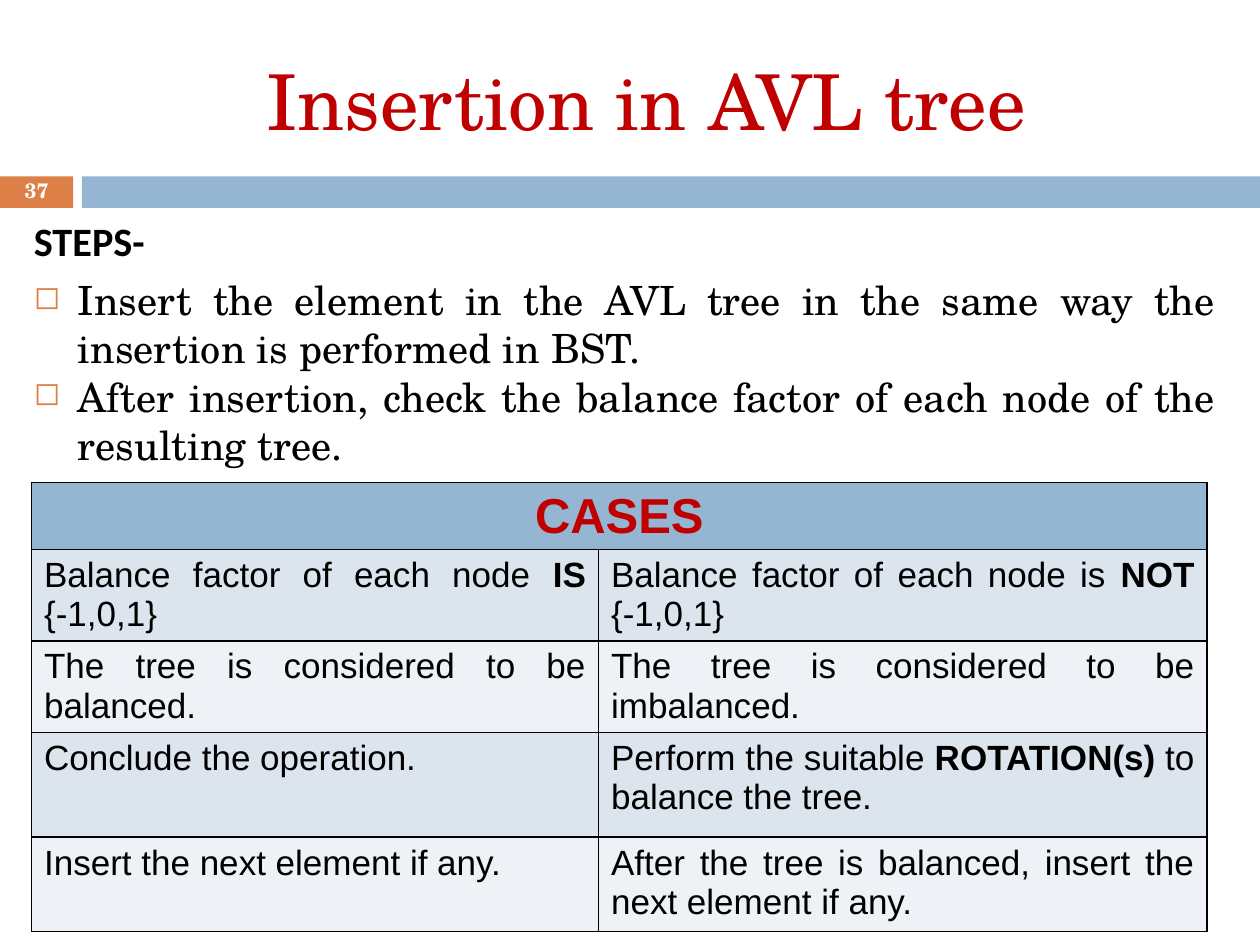
from lxml.etree import SubElement
from pptx import Presentation
from pptx.dml.color import RGBColor
from pptx.enum.shapes import MSO_SHAPE
from pptx.enum.text import MSO_ANCHOR as Anchor, PP_ALIGN as Align
from pptx.oxml.ns import qn
from pptx.util import Inches, Pt

COLORS = {
    "accent": "DD8047", "band": "94B6D2", "heading": "C00000", "text": "000000",
    "page": "FFFFFF", "dark_row": "DCE5EE", "light_row": "EEF2F7",
}
SERIF, SANS, STEPS_FONT = "TeX Gyre Schola", "Arial", "Calibri"
COLUMN_WIDTHS = (4.5, 4.83)
ROW_HEIGHTS = (0.53, 0.72, 0.72, 0.83, 0.75)
STEPS = (
    "Insert the element in the AVL tree in the same way the insertion is performed in BST.",
    "After insertion, check the balance factor of each node of the resulting tree.",
)
# Every second run of a cell is bold.
CASES = (
    (("Balance factor of each node ", "IS ", "{-1,0,1}"),
     ("Balance factor of each node is ", "NOT", " {-1,0,1}")),
    (("The tree is considered to be balanced.",),
     ("The tree is considered to be imbalanced.",)),
    (("Conclude the operation.",),
     ("Perform the suitable ", "ROTATION(s)", " to balance the tree.")),
    (("Insert the next element if any.",),
     ("After the tree is balanced, insert the next element if any.",)),
)


def rgb(name):
    return RGBColor.from_string(COLORS[name])


def add_run(paragraph, text, size, font, color="text", bold=False):
    run = paragraph.add_run()
    run.text = text
    run.font.size = Pt(size)
    run.font.name = font
    run.font.bold = bold
    run.font.color.rgb = rgb(color)


def add_bar(slide, left, width, color):
    bar = slide.shapes.add_shape(
        MSO_SHAPE.RECTANGLE, *map(Inches, (left, 1.4, width, 0.25)))
    bar.shadow.inherit = False
    bar.fill.solid()
    bar.fill.fore_color.rgb = rgb(color)
    bar.line.fill.background()


def add_text_frame(slide, box, anchor=Anchor.TOP):
    frame = slide.shapes.add_textbox(*map(Inches, box)).text_frame
    frame.word_wrap = True
    frame.vertical_anchor = anchor
    return frame


def add_line(slide, box, text, size, color, bold=False, spacing=None):
    """Add one centred line of serif text in its own box."""
    paragraph = add_text_frame(slide, box, Anchor.MIDDLE).paragraphs[0]
    paragraph.alignment = Align.CENTER
    paragraph.line_spacing = spacing
    add_run(paragraph, text, size, SERIF, color, bold)


def set_bullet(paragraph):
    props = paragraph._p.get_or_add_pPr()
    props.set("marL", str(Inches(0.35)))
    props.set("indent", str(-Inches(0.35)))
    color = SubElement(props, qn("a:buClr"))
    SubElement(color, qn("a:srgbClr"), val=COLORS["accent"])
    SubElement(props, qn("a:buSzPct"), val="80000")
    SubElement(props, qn("a:buChar"), char="◻")


def add_steps(slide):
    frame = add_text_frame(slide, (0.17, 1.67, 9.58, 2.17))
    label = frame.paragraphs[0]
    label.alignment = Align.JUSTIFY
    add_run(label, "STEPS-", 23, STEPS_FONT, bold=True)
    for number, step in enumerate(STEPS):
        paragraph = frame.add_paragraph()
        set_bullet(paragraph)
        paragraph.alignment = Align.JUSTIFY
        paragraph.space_before = Pt(0 if number else 6)
        add_run(paragraph, step, 23, SERIF)


def style_cell(cell, color):
    """Give a cell its borders, fill and a bottom margin that keeps rows low."""
    cell.margin_top, cell.margin_bottom = Inches(0.05), Inches(0.01)
    props = cell._tc.get_or_add_tcPr()
    for side in ("lnL", "lnR", "lnT", "lnB"):
        border = SubElement(props, qn(f"a:{side}"), w=str(Pt(1)))
        fill = SubElement(border, qn("a:solidFill"))
        SubElement(fill, qn("a:srgbClr"), val=COLORS["text"])
    cell.fill.solid()
    cell.fill.fore_color.rgb = rgb(color)


def fill_cell(cell, texts):
    paragraph = cell.text_frame.paragraphs[0]
    paragraph.alignment = Align.JUSTIFY
    for number, text in enumerate(texts):
        add_run(paragraph, text, 20, SANS, bold=number % 2 == 1)


def add_cases(slide):
    box = map(Inches, (0.25, 3.83, sum(COLUMN_WIDTHS), sum(ROW_HEIGHTS)))
    table = slide.shapes.add_table(len(ROW_HEIGHTS), len(COLUMN_WIDTHS), *box).table
    for column, width in zip(table.columns, COLUMN_WIDTHS):
        column.width = Inches(width)
    for row, height in zip(table.rows, ROW_HEIGHTS):
        row.height = Inches(height)

    header = table.cell(0, 0)
    header.merge(table.cell(0, 1))
    for cell in table.rows[0].cells:
        style_cell(cell, "band")
    heading = header.text_frame.paragraphs[0]
    heading.alignment = Align.CENTER
    add_run(heading, "CASES", 28, SANS, "heading", bold=True)

    for r, case in enumerate(CASES, start=1):
        for c, texts in enumerate(case):
            cell = table.cell(r, c)
            style_cell(cell, "dark_row" if r % 2 else "light_row")
            fill_cell(cell, texts)


def main():
    deck = Presentation()
    deck.slide_width, deck.slide_height = Inches(10), Inches(7.5)
    slide = deck.slides.add_slide(deck.slide_layouts[6])
    add_bar(slide, 0, 0.58, "accent")
    add_bar(slide, 0.65, 9.35, "band")
    add_line(slide, (0.67, 0.25, 8.92, 1.08), "Insertion in AVL tree", 44, "heading")
    add_steps(slide)
    add_line(slide, (0, 1.39, 0.58, 0.27), "37", 11.9, "page", bold=True, spacing=0.8)
    add_cases(slide)
    deck.save("out.pptx")


if __name__ == "__main__":
    main()
